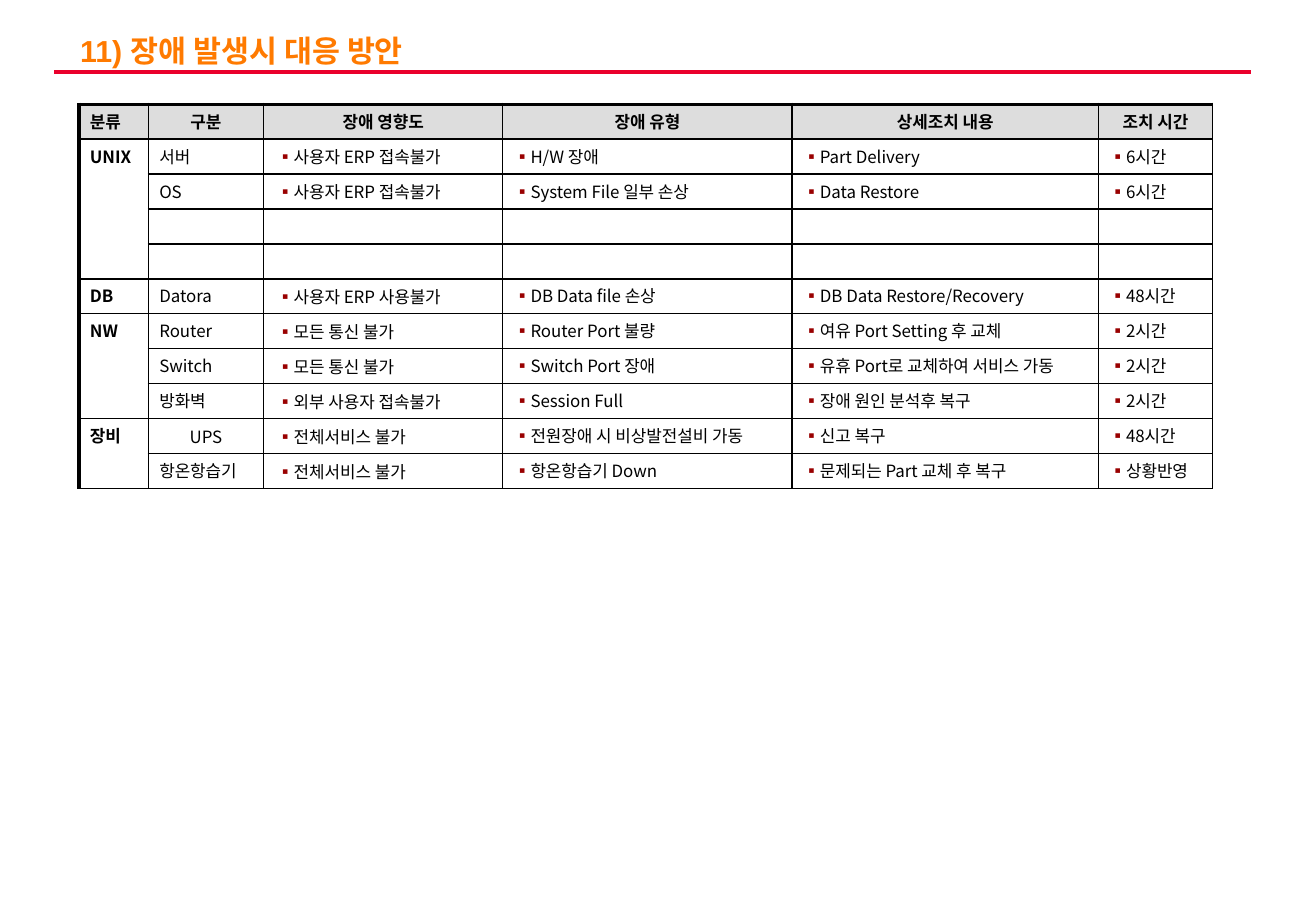
from lxml import etree
from pptx import Presentation
from pptx import util as u
from pptx.dml.color import RGBColor
from pptx.enum import shapes, text
from pptx.oxml import ns

HEADINGS = ["분류", "구분", "장애 영향도", "장애 유형", "상세조치 내용", "조치 시간"]
FAILURES = [
    ["UNIX", "서버", "사용자 ERP 접속불가", "H/W 장애", "Part Delivery", "6시간"],
    ["", "OS", "사용자 ERP 접속불가", "System File 일부 손상", "Data Restore", "6시간"],
    [""] * 6,
    [""] * 6,
    ["DB", "Datora", "사용자 ERP 사용불가", "DB Data file 손상", "DB Data Restore/Recovery", "48시간"],
    ["NW", "Router", "모든 통신 불가", "Router Port 불량", "여유 Port Setting 후 교체", "2시간"],
    ["", "Switch", "모든 통신 불가", "Switch Port 장애", "유휴 Port로 교체하여 서비스 가동", "2시간"],
    ["", "방화벽", "외부 사용자 접속불가", "Session Full", "장애 원인 분석후 복구", "2시간"],
    ["장비", "UPS", "전체서비스 불가", "전원장애 시 비상발전설비 가동", "신고 복구", "48시간"],
    ["", "항온항습기", "전체서비스 불가", "항온항습기 Down", "문제되는 Part 교체 후 복구", "상황반영"],
]
CATEGORY_SPANS = [(1, 4), (6, 8), (9, 10)]
COLUMN_WIDTHS = [1.45, 2.41, 5, 6.05, 6.4, 2.39]
ROW_HEIGHT = 0.73
CATEGORY, ITEM, IMPACT = range(3)


def colour(hex_code):
    return RGBColor.from_string(hex_code)


def child(parent, tag, **attributes):
    """Append a DrawingML element to parent."""
    return etree.SubElement(parent, ns.qn(tag), attributes)


class SlideBuilder:
    title_font, body_font = "Arial", "Noto Sans CJK KR"
    orange, red, bullet_red = "FF7A00", "EA002C", "990000"
    black, header_grey = "000000", "DDDDDD"
    body_size = 10
    thin, thick = 1, 2.25

    def __init__(self, deck):
        self.slide = deck.slides.add_slide(deck.slide_layouts[5])

    def rule(self, left, right, top):
        rule = self.slide.shapes.add_connector(
            shapes.MSO_CONNECTOR.STRAIGHT, u.Cm(left), u.Cm(top), u.Cm(right), u.Cm(top))
        rule.line.color.rgb = colour(self.red)
        rule.line.width = u.Pt(self.thick)
        child(rule._element.spPr, "a:effectLst")

    def title(self, wording, left, top, width, height):
        title = self.slide.shapes.title
        title.left, title.top = u.Cm(left), u.Cm(top)
        title.width, title.height = u.Cm(width), u.Cm(height)
        frame = title.text_frame
        frame.text = wording
        frame.auto_size = text.MSO_AUTO_SIZE.NONE
        frame.vertical_anchor = text.MSO_ANCHOR.MIDDLE
        heading = frame.paragraphs[0]
        heading.alignment = text.PP_ALIGN.LEFT
        heading.line_spacing = 0.9
        heading.font.name = self.title_font
        heading.font.size = u.Pt(18)
        heading.font.bold = True
        heading.font.color.rgb = colour(self.orange)

    def failure_table(self, left, top):
        rows = [HEADINGS] + FAILURES
        table = self.slide.shapes.add_table(
            len(rows), len(HEADINGS), u.Cm(left), u.Cm(top),
            u.Cm(sum(COLUMN_WIDTHS)), u.Cm(ROW_HEIGHT * len(rows))).table
        table.first_row = table.horz_banding = False
        for column, width in zip(table.columns, COLUMN_WIDTHS):
            column.width = u.Cm(width)
        for first, last in CATEGORY_SPANS:
            table.cell(first, CATEGORY).merge(table.cell(last, CATEGORY))
        for r, row in enumerate(rows):
            table.rows[r].height = u.Cm(ROW_HEIGHT)
            for c, wording in enumerate(row):
                self.cell(table.cell(r, c), wording, r, c)

    def cell(self, cell, wording, r, c):
        header = r == 0
        bulleted = not header and c >= IMPACT and wording != ""
        centred = header and c != CATEGORY or wording == "UPS"
        cell.margin_left = u.Cm(0.28 if bulleted and c == IMPACT else 0.23)
        cell.margin_right = u.Cm(0.23)
        cell.margin_top = cell.margin_bottom = u.Cm(0.1)
        middle = wording == "UPS" or bulleted and c == IMPACT
        cell.vertical_anchor = text.MSO_ANCHOR.MIDDLE if middle else text.MSO_ANCHOR.TOP
        if header:
            cell.fill.solid()
            cell.fill.fore_color.rgb = colour(self.header_grey)
        else:
            cell.fill.background()
        self.borders(cell, r, c)

        cell.text = wording
        entry = cell.text_frame.paragraphs[0]
        entry.alignment = text.PP_ALIGN.CENTER if centred else text.PP_ALIGN.LEFT
        if bulleted:
            self.bullet(entry)
        entry.font.name = self.body_font
        entry.font.size = u.Pt(self.body_size)
        entry.font.bold = header or c == CATEGORY
        entry.font.color.rgb = colour(self.black)
        child(entry.font._element, "a:ea", typeface=self.body_font)
        if not wording:
            child(entry._p, "a:endParaRPr", sz=str(self.body_size * 100))

    def borders(self, cell, r, c):
        widths = {
            "a:lnL": self.thick if c == CATEGORY else self.thin,
            "a:lnR": self.thin,
            "a:lnT": self.thick if r == 0 else self.thin,
            "a:lnB": self.thin,
        }
        properties = cell._tc.get_or_add_tcPr()
        for position, (side, width) in enumerate(widths.items()):
            border = child(properties, side, w=str(u.Pt(width)))
            child(child(border, "a:solidFill"), "a:srgbClr", val=self.black)
            properties.insert(position, border)

    def bullet(self, paragraph):
        properties = paragraph._p.get_or_add_pPr()
        hang = u.Cm(0.2)
        properties.set("marL", str(hang))
        properties.set("indent", str(-hang))
        child(child(properties, "a:buClr"), "a:srgbClr", val=self.bullet_red)
        child(properties, "a:buFont", typeface=self.body_font)
        child(properties, "a:buChar", char="▪")


def main():
    deck = Presentation()
    deck.slide_width, deck.slide_height = u.Cm(27.51), u.Cm(19.05)
    builder = SlideBuilder(deck)
    builder.rule(left=1.14, right=26.16, top=1.51)
    builder.title("11) 장애 발생시 대응 방안", left=1.42, top=0.64, width=25.04, height=0.94)
    builder.failure_table(left=1.65, top=2.18)
    deck.save("out.pptx")


if __name__ == "__main__":
    main()
